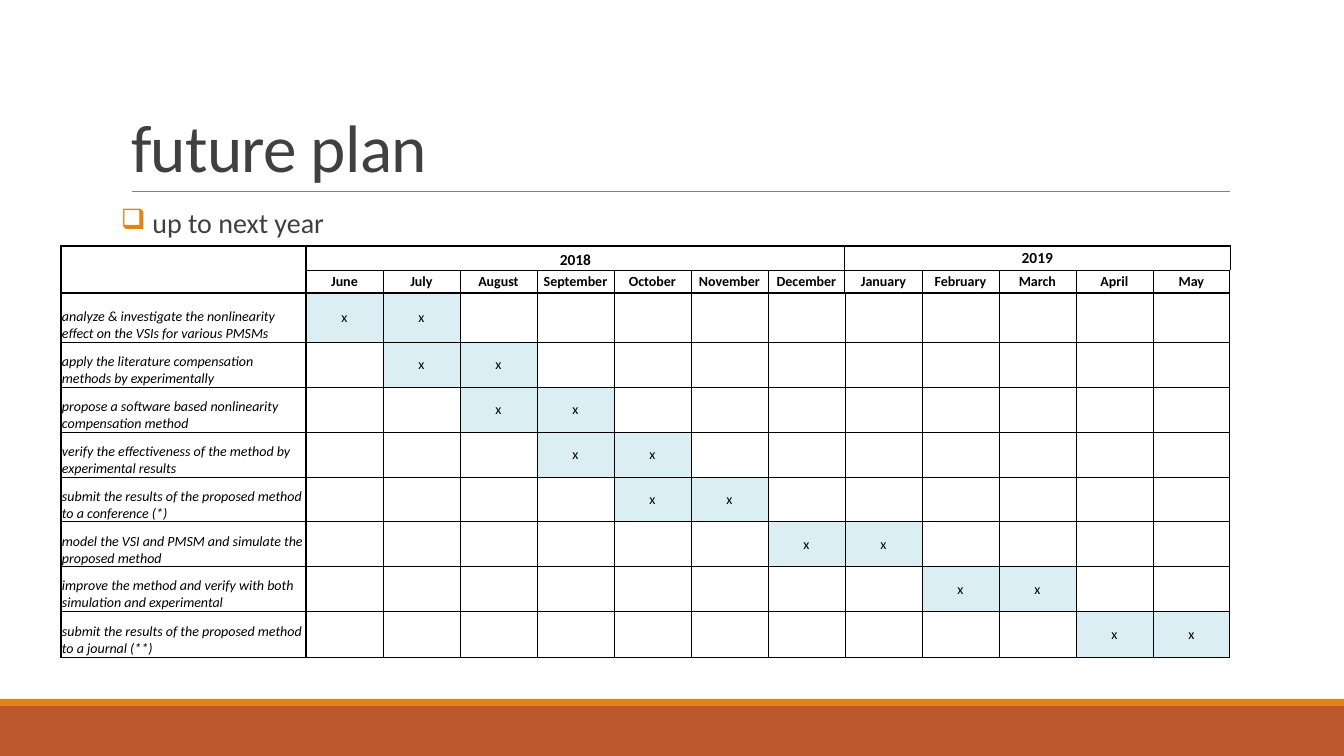
from lxml import etree
from pptx import Presentation
from pptx.dml.color import RGBColor
from pptx.enum.shapes import MSO_CONNECTOR, MSO_SHAPE
from pptx.enum.text import MSO_ANCHOR, MSO_AUTO_SIZE, PP_ALIGN
from pptx.oxml.ns import qn
from pptx.util import Emu, Pt

LINE, RECT = MSO_CONNECTOR.STRAIGHT, MSO_SHAPE.RECTANGLE
TOP, MID, LOW = MSO_ANCHOR.TOP, MSO_ANCHOR.MIDDLE, MSO_ANCHOR.BOTTOM
LEFT, MIDST = PP_ALIGN.LEFT, PP_ALIGN.CENTER
FIXED = MSO_AUTO_SIZE.NONE
SCALE = 914400 / 100.8
WIDE, HIGH = 1344, 756
INK, BLACK, GREY = "404040", "000000", "808080"
ORANGE, RUST, BLUE = "E48312", "BD582C", "DAEEF3"

YEARS = [("2018", 1, 7, LOW), ("2019", 8, 12, MID)]
MONTHS = ["June", "July", "August", "September", "October", "November",
          "December", "January", "February", "March", "April", "May"]
TASKS = [
    ("analyze & investigate the nonlinearity effect on the VSIs for various PMSMs", "June"),
    ("apply the literature compensation methods by experimentally", "July"),
    ("propose a software based nonlinearity compensation method", "August"),
    ("verify the effectiveness of the method by experimental results", "September"),
    ("submit the results of the proposed method to a conference (*)", "October"),
    ("model the VSI and PMSM and simulate the proposed method", "December"),
    ("improve the method and verify with both simulation and experimental", "February"),
    ("submit the results of the proposed method to a journal (**)", "April"),
]
COLS = [245] + [77] * len(MONTHS)
ROWS = [24, 23, 49] + [45] * 6 + [46]


def px(num):
    """Turn px into EMU."""
    return Emu(round(num * SCALE))


def paint(hue):
    """Turn a hex string into a colour."""
    return RGBColor.from_string(hue)


def apply(item, **form):
    """Set each format value on the item."""
    for name, val in form.items():
        setattr(item, name, val)


def write(para, text, size, hue, **form):
    """Put one run of text in the paragraph."""
    run = para.add_run()
    run.text = text
    apply(run.font, name="Calibri", size=Pt(size), **form)
    run.font.color.rgb = paint(hue)
    return run


def add_bar(slide, box, hue):
    """Draw a plain filled bar."""
    bar = slide.shapes.add_shape(RECT, *map(px, box))
    bar.shadow.inherit = False
    bar.fill.solid()
    bar.fill.fore_color.rgb = paint(hue)
    bar.line.fill.background()


def add_foot(slide, box):
    """Draw the two-tone band at the foot."""
    left, top, wide, high = box
    thin = 7
    add_bar(slide, (left, top + thin, wide, high - thin), RUST)
    add_bar(slide, (left, top, wide, thin), ORANGE)


def add_head(slide, box):
    """Set the title and the rule below it."""
    left, top, wide, high = box
    title = slide.shapes.title
    apply(title, left=px(left), top=px(top), width=px(wide), height=px(high))
    frame = title.text_frame
    apply(frame, vertical_anchor=LOW, auto_size=FIXED, word_wrap=True)
    para = frame.paragraphs[0]
    apply(para, alignment=LEFT, line_spacing=0.85)
    run = write(para, "future plan", 48, INK)
    run.font._element.set("spc", "-50")
    base = px(top + high)
    rule = slide.shapes.add_connector(LINE, px(left + 11), base, px(left + wide), base)
    rule.line.width = Pt(0.5)
    rule.line.color.rgb = paint(GREY)
    etree.SubElement(rule._element.spPr, qn("a:effectLst"))


def add_point(slide, box):
    """Place the bulleted line."""
    frame = slide.shapes.add_textbox(*map(px, box)).text_frame
    apply(frame, word_wrap=True, vertical_anchor=TOP, margin_left=0,
          margin_right=0, margin_top=px(5), margin_bottom=px(5))
    para = frame.paragraphs[0]
    apply(para, line_spacing=0.9, space_before=Pt(12), space_after=Pt(2))
    props = para._p.get_or_add_pPr()
    props.set("marL", str(px(10)))
    props.set("indent", str(px(-10)))
    tint = etree.SubElement(props, qn("a:buClr"))
    etree.SubElement(tint, qn("a:srgbClr"), val=ORANGE)
    etree.SubElement(props, qn("a:buChar"), char="❑")
    write(para, " up to next year", 20, INK)


def edge(cell, row, col):
    """Rule the cell, heavier round each block."""
    ups = (0, 1, 13) + ((8,) if row < 2 else ())
    flats = (0, 2, len(ROWS))
    heavy = {"lnL": col in ups, "lnR": col + 1 in ups,
             "lnT": row in flats, "lnB": row + 1 in flats}
    props = cell._tc.get_or_add_tcPr()
    for spot, (tag, bold) in enumerate(heavy.items()):
        line = etree.Element(qn("a:" + tag), w=str(Pt(1 if bold else 0.5)))
        fill = etree.SubElement(line, qn("a:solidFill"))
        etree.SubElement(fill, qn("a:srgbClr"), val=BLACK)
        props.insert(spot, line)


def fill_cell(cell, text, size=10, anchor=MID, align=MIDST, **form):
    """Write a cell's text."""
    cell.vertical_anchor = anchor
    para = cell.text_frame.paragraphs[0]
    para.alignment = align
    write(para, text, size, BLACK, **form)


def add_plan(slide, box):
    """Build the table of tasks by month."""
    table = slide.shapes.add_table(len(ROWS), len(COLS), *map(px, box)).table
    apply(table, first_row=False, horz_banding=False)
    for col, wide in zip(table.columns, COLS):
        col.width = px(wide)
    for row, high in zip(table.rows, ROWS):
        row.height = px(high)
    for row in range(len(ROWS)):
        for col in range(len(COLS)):
            cell = table.cell(row, col)
            apply(cell, margin_left=px(1), margin_right=px(1),
                  margin_top=px(1), margin_bottom=0)
            cell.fill.background()
            edge(cell, row, col)
            para = cell.text_frame.paragraphs[0]._p
            etree.SubElement(para, qn("a:endParaRPr"), sz="1000")
    table.cell(0, 0).merge(table.cell(1, 0))
    for year, start, end, anchor in YEARS:
        table.cell(0, start).merge(table.cell(0, end))
        fill_cell(table.cell(0, start), year, 11, anchor, bold=True)
    for col, month in enumerate(MONTHS, 1):
        fill_cell(table.cell(1, col), month, bold=True)
    for row, (task, month) in enumerate(TASKS, 2):
        fill_cell(table.cell(row, 0), task, anchor=LOW, align=LEFT, italic=True)
        start = MONTHS.index(month) + 1
        for col in (start, start + 1):
            cell = table.cell(row, col)
            cell.fill.solid()
            cell.fill.fore_color.rgb = paint(BLUE)
            fill_cell(cell, "x")


def main():
    """Build the slide and save it."""
    deck = Presentation()
    apply(deck, slide_width=px(WIDE), slide_height=px(HIGH))
    slide = deck.slides.add_slide(deck.slide_layouts[5])
    add_foot(slide, (0, 699, WIDE, 57))
    add_head(slide, (121, 31, 1109, 160))
    add_point(slide, (121, 204, 1109, 443))
    add_plan(slide, (61, 246, sum(COLS), sum(ROWS)))
    deck.save("out.pptx")


if __name__ == "__main__":
    main()
